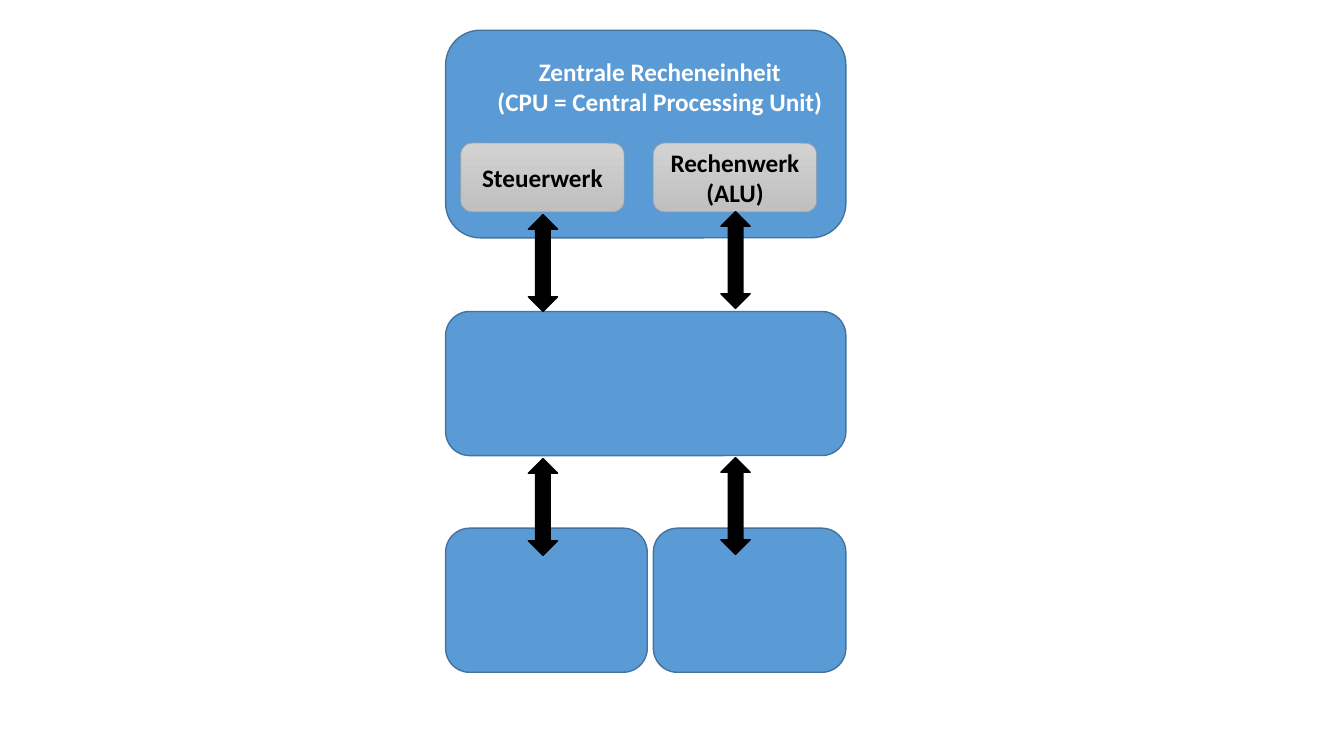
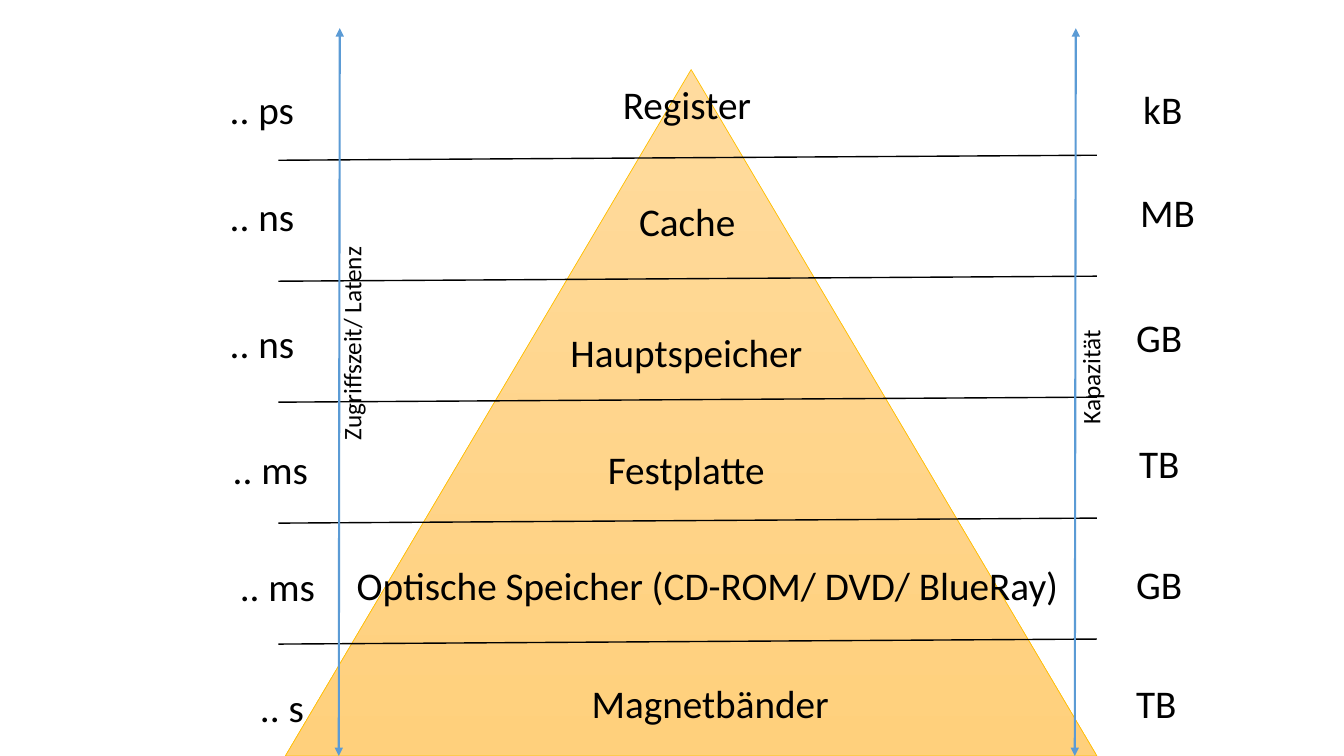
from lxml import etree
from pptx import Presentation
from pptx.dml.color import RGBColor
from pptx.enum.shapes import MSO_CONNECTOR, MSO_SHAPE
from pptx.enum.text import MSO_ANCHOR, MSO_AUTO_SIZE, PP_ALIGN
from pptx.oxml.ns import qn
from pptx.util import Inches, Pt

ROUNDED = MSO_SHAPE.ROUNDED_RECTANGLE
DOUBLE_ARROW = MSO_SHAPE.UP_DOWN_ARROW
TRIANGLE = MSO_SHAPE.ISOSCELES_TRIANGLE
STRAIGHT = MSO_CONNECTOR.STRAIGHT
MIDDLE = MSO_ANCHOR.MIDDLE
FIT_SHAPE = MSO_AUTO_SIZE.SHAPE_TO_FIT_TEXT
LEFT, CENTER = PP_ALIGN.LEFT, PP_ALIGN.CENTER

FONT = "Calibri"
COLORS = {
    "blue": "5B9BD5",
    "blue_edge": "43739E",
    "black": "000000",
    "white": "FFFFFF",
    "gray_top": "D2D2D2",
    "gray_bottom": "C0C0C0",
    "gray_edge": "A5A5A5",
    "amber_top": "FFDB9E",
    "amber_bottom": "FFD07C",
    "amber_edge": "FFC000",
}
RGB = {name: RGBColor.from_string(value) for name, value in COLORS.items()}


def add_block(slide, preset, box, fills, edge, edge_width):
    block = slide.shapes.add_shape(preset, *map(Inches, box))
    block.shadow.inherit = False
    if len(fills) == 1:
        block.fill.solid()
        block.fill.fore_color.rgb = RGB[fills[0]]
    else:
        block.fill.gradient()
        block.fill.gradient_angle = 270
        for stop, fill in zip(block.fill.gradient_stops, fills):
            stop.color.rgb = RGB[fill]
    block.line.color.rgb = RGB[edge]
    block.line.width = Pt(edge_width)
    return block


def write(shape, lines, size, color="black", bold=False, align=LEFT):
    frame = shape.text_frame
    for index, line in enumerate(lines):
        paragraph = frame.add_paragraph() if index else frame.paragraphs[0]
        paragraph.alignment = align
        run = paragraph.add_run()
        run.text = line
        run.font.name = FONT
        run.font.size = Pt(size)
        run.font.bold = bold
        run.font.color.rgb = RGB[color]


prs = Presentation()
prs.slide_width = Inches(13.33)
prs.slide_height = Inches(7.5)
blank = prs.slide_layouts[6]

computer = prs.slides.add_slide(blank)
for unit in [
    (4.42, 0.3, 3.97, 2.06),
    (4.42, 3.09, 3.97, 1.43),
    (4.42, 5.24, 2, 1.43),
    (6.48, 5.24, 1.91, 1.43),
]:
    add_block(computer, ROUNDED, unit, ["blue"], "blue_edge", 1)

cpu_title = computer.shapes.add_textbox(Inches(4.82), Inches(0.51), Inches(3.45), Inches(0.71))
cpu_title.text_frame.word_wrap = False
cpu_title.text_frame.auto_size = FIT_SHAPE
write(cpu_title, ["Zentrale Recheneinheit", "(CPU = Central Processing Unit)"],
      18, "white", True, CENTER)

for left, lines in [(4.57, ["Steuerwerk"]), (6.48, ["Rechenwerk", "(ALU)"])]:
    component = add_block(computer, ROUNDED, (left, 1.42, 1.62, 0.68),
                          ["gray_top", "gray_bottom"], "gray_edge", 0.5)
    component.text_frame.vertical_anchor = MIDDLE
    write(component, lines, 18, bold=True, align=CENTER)

for left, top in [(5.24, 2.13), (7.15, 2.1), (5.24, 4.55), (7.15, 4.54)]:
    add_block(computer, DOUBLE_ARROW, (left, top, 0.29, 0.96), ["black"], "black", 1)

memory = prs.slides.add_slide(blank)
add_block(memory, TRIANGLE, (2.83, 0.69, 8.05, 6.81),
          ["amber_top", "amber_bottom"], "amber_edge", 0.5)

dividers = [(2.76, 1.59 + 1.2 * level, 10.88, 1.54 + 1.2 * level, "black", 1, False)
            for level in range(5)]
axes = [(x, 0.28, x - 0.01, 7.5, "blue", 1.5, True) for x in (3.37, 10.67)]
for x1, y1, x2, y2, color, width, pointed in dividers + axes:
    rule = memory.shapes.add_connector(STRAIGHT, *map(Inches, (x1, y1, x2, y2)))
    rule.line.color.rgb = RGB[color]
    rule.line.width = Pt(width)
    if pointed:
        outline = rule.line._get_or_add_ln()
        for end in ("a:headEnd", "a:tailEnd"):
            etree.SubElement(outline, qn(end), type="triangle")
    etree.SubElement(rule._element.spPr, qn("a:effectLst"))

levels = [
    (("Register", 6.08, 0.75, 1.49), (".. ps", 2.18, 0.8, 0.85), ("kB", 11.24, 0.8, 0.59)),
    (("Cache", 6.24, 1.91, 1.17), (".. ns", 2.18, 1.86, 0.85), ("MB", 11.21, 1.82, 0.75)),
    (("Hauptspeicher", 5.56, 3.21, 2.53), (".. ns", 2.18, 3.12, 0.85), ("GB", 11.17, 3.06, 0.66)),
    (("Festplatte", 5.93, 4.37, 1.78), (".. ms", 2.21, 4.37, 0.96), ("TB", 11.2, 4.31, 0.61)),
    (("Optische Speicher (CD-ROM/ DVD/ BlueRay)", 3.44, 5.52, 7.23),
     (".. ms", 2.28, 5.53, 0.96), ("GB", 11.17, 5.51, 0.66)),
    (("Magnetbänder", 5.77, 6.69, 2.58), (".. s", 2.48, 6.73, 0.65), ("TB", 11.17, 6.69, 0.61)),
]
axis_titles = [("Zugriffszeit/ Latenz", 2.41, 3.19, 2.15), ("Kapazität", 10.24, 3.53, 1.15)]
labels = [(*entry, 0.57, 28, 0) for level in levels for entry in level]
labels += [(*entry, 0.4, 18, 270) for entry in axis_titles]
for text, left, top, width, height, size, rotation in labels:
    label = memory.shapes.add_textbox(*map(Inches, (left, top, width, height)))
    label.rotation = rotation
    label.text_frame.word_wrap = False
    label.text_frame.auto_size = FIT_SHAPE
    write(label, [text], size)

prs.save("out.pptx")
